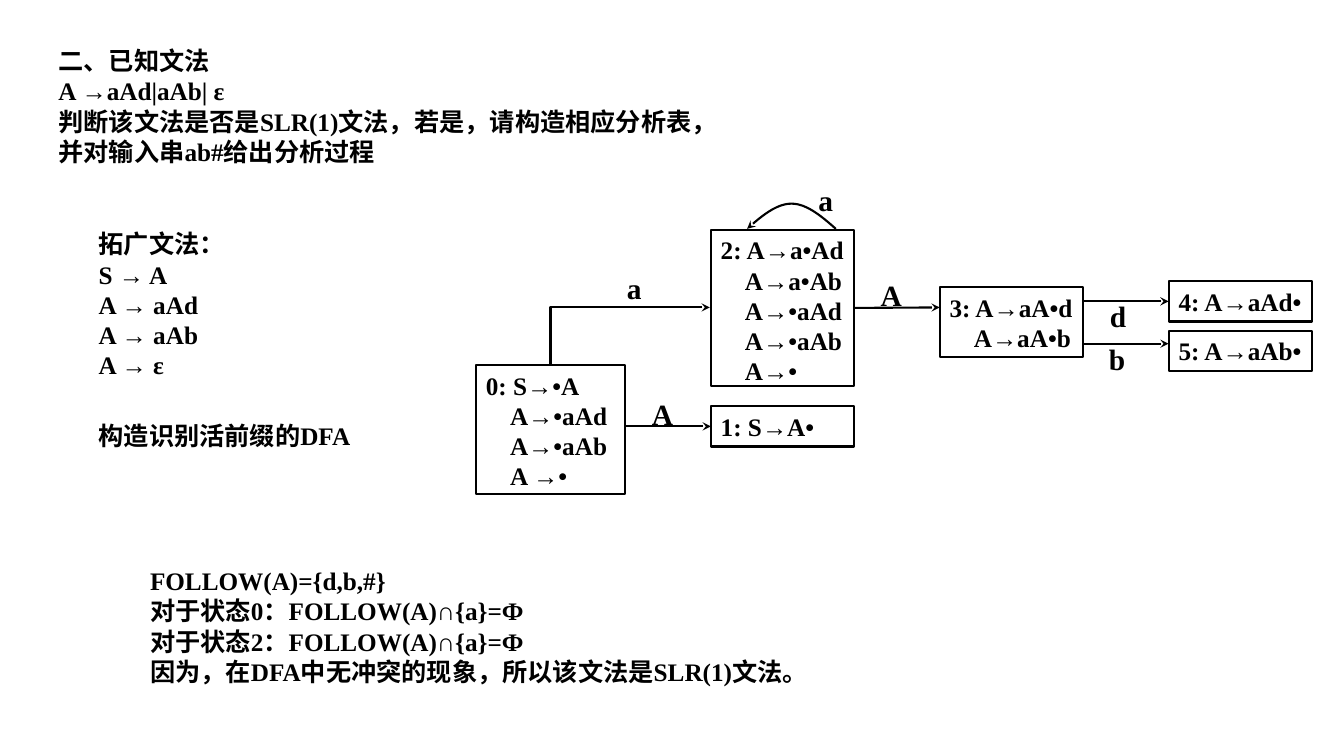
"""Build the slide that checks whether a grammar is SLR(1) with its DFA."""
from pptx import Presentation
from pptx.dml.color import RGBColor
from pptx.enum.shapes import MSO_CONNECTOR, MSO_SHAPE
from pptx.enum.text import MSO_ANCHOR, MSO_AUTO_SIZE, PP_ALIGN
from pptx.oxml.ns import qn
from pptx.util import Pt
from lxml.etree import SubElement

PX = 9144
BLACK = RGBColor(0, 0, 0)
FONT = "Times New Roman"


def write(frame, lines, size=18, align=PP_ALIGN.LEFT, indent=0):
    """Fill a text frame, indenting every line after the first."""
    frame.text = "\n".join(lines)
    for number, para in enumerate(frame.paragraphs):
        para.alignment = align
        if number and indent:
            para._p.get_or_add_pPr().set("marL", str(indent * PX))
        para.font.name = FONT
        para.font.size = Pt(size)
        para.font.bold = True
        para.font.color.rgb = BLACK


def draw_arrow(arrow):
    """Give a connector or an open outline a black line with a stealth head."""
    arrow.line.color.rgb = BLACK
    arrow.line.width = Pt(1.5)
    SubElement(arrow.line._get_or_add_ln(), qn("a:tailEnd"), type="stealth")


deck = Presentation()
deck.slide_width = 1333 * PX
deck.slide_height = 750 * PX
page = deck.slides.add_slide(deck.slide_layouts[5])

question = page.shapes.title
question.left, question.top, question.width, question.height = (
    48 * PX, 40 * PX, 678 * PX, 131 * PX)
question.text_frame.vertical_anchor = MSO_ANCHOR.TOP
question.text_frame.auto_size = MSO_AUTO_SIZE.NONE
write(question.text_frame, [
    "二、已知文法",
    "A →aAd|aAb| ε",
    "判断该文法是否是SLR(1)文法，若是，请构造相应分析表，并对输入串ab#给出分析过程",
])

notes = [
    (88, 222, 678, 162, ["拓广文法：", "S → A", "A → aAd", "A → aAb", "A → ε"]),
    (88, 412, 678, 40, ["构造识别活前缀的DFA"]),
    (139, 556, 667, 131, [
        "FOLLOW(A)={d,b,#}",
        "对于状态0：FOLLOW(A)∩{a}=Ф",
        "对于状态2：FOLLOW(A)∩{a}=Ф",
        "因为，在DFA中无冲突的现象，所以该文法是SLR(1)文法。",
    ]),
]
for left, top, width, height, lines in notes:
    box = page.shapes.add_textbox(left * PX, top * PX, width * PX, height * PX)
    box.text_frame.word_wrap = True
    write(box.text_frame, lines)

states = [
    (472, 362, 148, 128, ["S→•A", "A→•aAd", "A→•aAb", "A →•"]),
    (705, 403, 142, 40, ["S→A•"]),
    (705, 228, 142, 155, ["A→a•Ad", "A→a•Ab", "A→•aAd", "A→•aAb", "A→•"]),
    (932, 285, 142, 69, ["A→aA•d", "A→aA•b"]),
    (1159, 279, 142, 40, ["A→aAd•"]),
    (1159, 328, 142, 40, ["A→aAb•"]),
]
state_boxes = []
for number, (left, top, width, height, items) in enumerate(states):
    box = page.shapes.add_shape(
        MSO_SHAPE.RECTANGLE, left * PX, top * PX, width * PX, height * PX)
    box.shadow.inherit = False
    box.fill.background()
    box.line.color.rgb = BLACK
    box.line.width = Pt(1.5)
    box.text_frame.vertical_anchor = MSO_ANCHOR.TOP
    box.text_frame.margin_right = 0
    write(box.text_frame, [f"{number}: {items[0]}", *items[1:]], indent=24)
    state_boxes.append(box)

moves = [
    (620, 705, 423, None, 1),
    (847, 932, 305, 2, None),
    (1074, 1159, 299, None, 4),
    (1074, 1159, 341, None, None),
]
for start, end, level, source, target in moves:
    arrow = page.shapes.add_connector(
        MSO_CONNECTOR.STRAIGHT, start * PX, level * PX, end * PX, level * PX)
    if source is not None:
        arrow.begin_connect(state_boxes[source], 3)
    if target is not None:
        arrow.end_connect(state_boxes[target], 1)
    draw_arrow(arrow)
    SubElement(arrow._element.spPr, qn("a:effectLst"))

elbow = [(546, 361), (546, 305), (704, 305)]
steps = [step / 12 for step in range(-12, 13)]
loop = [(785 - 44 * t, 202 + 36 * t * t - 11 * abs(t) ** 3) for t in steps]
for points in (elbow, loop):
    corners = [(round(x * PX), round(y * PX)) for x, y in points]
    builder = page.shapes.build_freeform(*corners[0], scale=1.0)
    builder.add_line_segments(corners[1:], close=False)
    outline = builder.convert_to_shape()
    outline.shadow.inherit = False
    outline.fill.background()
    draw_arrow(outline)

labels = [
    ("A", 635, 395), ("a", 607, 270), ("A", 862, 277),
    ("a", 797, 183), ("d", 1087, 298), ("b", 1086, 340),
]
for symbol, left, top in labels:
    label = page.shapes.add_textbox(left * PX, top * PX, 44 * PX, 31 * PX)
    label.text_frame.word_wrap = False
    label.text_frame.vertical_anchor = MSO_ANCHOR.MIDDLE
    write(label.text_frame, [symbol], 21, PP_ALIGN.CENTER)

deck.save("out.pptx")
